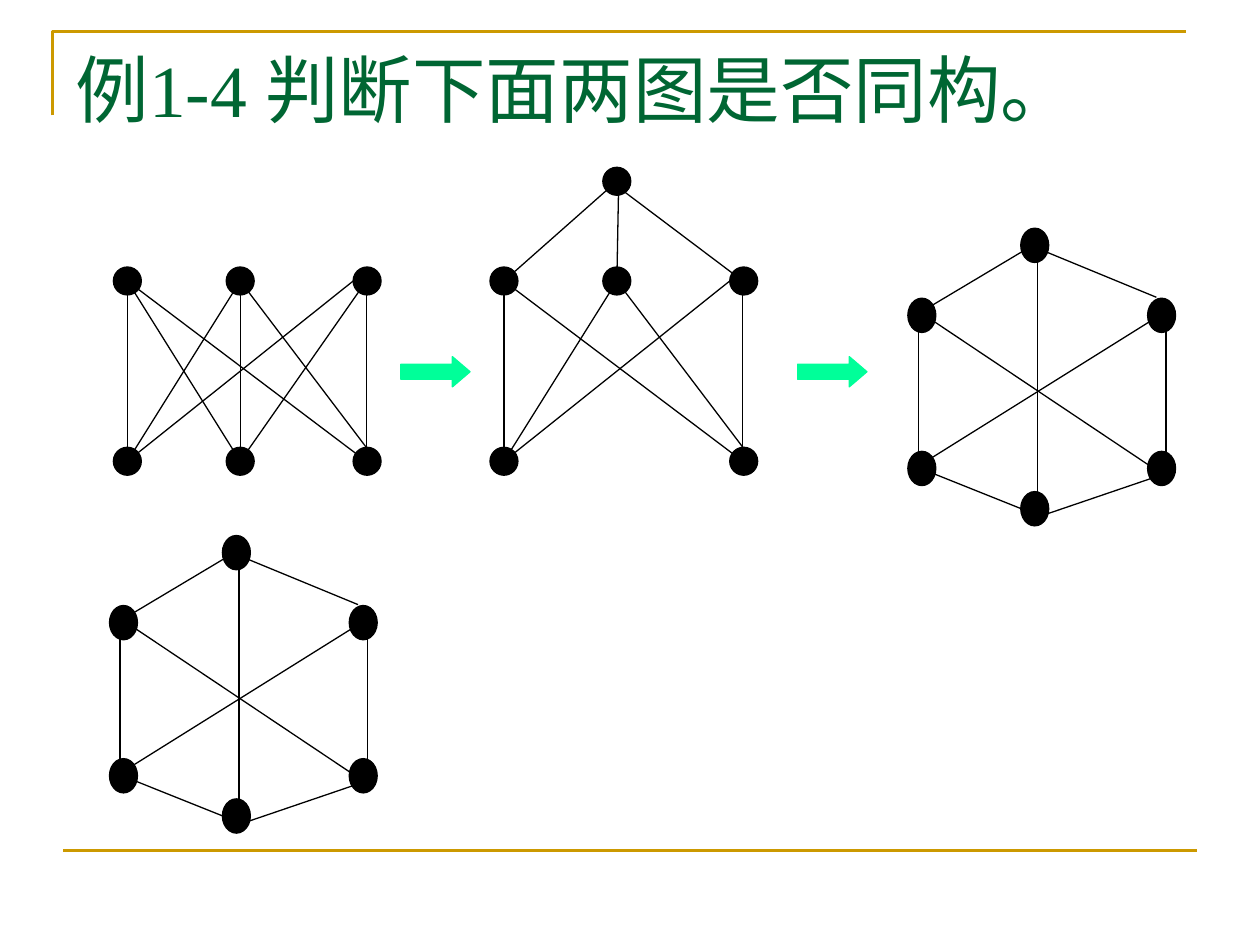
from collections import namedtuple

from lxml.etree import SubElement
from pptx import Presentation
from pptx.dml.color import RGBColor
from pptx.enum.shapes import MSO_CONNECTOR as Connector, MSO_SHAPE as Shape
from pptx.enum.text import MSO_ANCHOR as Anchor, MSO_AUTO_SIZE as AutoSize, PP_ALIGN as Align
from pptx.oxml.ns import qn
from pptx.util import Pt

BLACK = RGBColor(0x00, 0x00, 0x00)
GOLD = RGBColor(0xCC, 0x99, 0x00)
GREEN = RGBColor(0x00, 0x66, 0x33)
MINT = RGBColor(0x00, 0xFF, 0x99)

Box = namedtuple("Box", "left top width height")

ROW_NODES = [(0, 0), (64.5, 0), (137, 0), (0, 103), (137, 103)]
ROW_EDGES = [
    ((8, 8), (144.5, 111)), ((8, 8), (8, 111)), ((72.5, 8), (8, 111)),
    ((137, 8), (8, 111)), ((72.5, 8), (144.5, 103)), ((144.5, 8), (144.5, 111)),
]
LOW_NODE = (64.5, 103)
LOW_EDGES = [((x, 8), (72.5, 111)) for x in (8, 72.5, 144.5)]
HIGH_NODE = (64.5, -57)
HIGH_EDGES = [((8, 8), (68.5, -45.5)), ((72.5, 8), (73.5, -45.5)), ((144.5, 8), (73.5, -45.5))]
HEXAGON_NODES = [(0, 40), (64.5, 0), (137, 40), (0, 127.5), (64.5, 150.5), (137, 127.5)]
HEXAGON_EDGES = [
    ((11.5, 51), (147.5, 142)), ((6, 51), (6, 136)), ((11.5, 45.5), (68.5, 11.5)),
    ((74, 164), (11.5, 139)), ((142, 39.5), (74, 11.5)), ((74, 11.5), (74, 158.5)),
    ((142, 51), (6, 136)), ((142, 142), (73, 165.5)), ((147.5, 57), (147.5, 136)),
]


def add_line(shapes, start, end, color, weight):
    """Draw a straight line between two points."""
    line = shapes.add_connector(Connector.STRAIGHT, *map(Pt, (*start, *end)))
    line.line.color.rgb = color
    line.line.width = Pt(weight)
    SubElement(line._element.spPr, qn("a:effectLst"))


def add_solid(shapes, kind, box, color):
    """Draw a preset shape with fill and outline of one colour."""
    solid = shapes.add_shape(kind, *map(Pt, box))
    solid.shadow.inherit = False
    solid.fill.solid()
    solid.fill.fore_color.rgb = color
    solid.line.color.rgb = color
    solid.line.width = Pt(0.75)
    return solid


def add_graph(page, left, top, nodes, edges, node_height):
    """Group the nodes and edges of one graph at the given corner."""
    shapes = page.shapes.add_group_shape().shapes
    for x, y in nodes:
        add_solid(shapes, Shape.OVAL, Box(left + x, top + y, 16, node_height), BLACK)
    for edge in edges:
        start, end = [(left + x, top + y) for x, y in edge]
        add_line(shapes, start, end, BLACK, 0.75)


def add_arrow(page, box):
    """Draw the arrow that leads from one graph to the next."""
    arrow = add_solid(page.shapes, Shape.RIGHT_ARROW, box, MINT)
    arrow.adjustments[0] = 0.5
    arrow.adjustments[1] = 0.585


def add_frame(page, box):
    """Draw the corner rule above the title and the rule at the foot."""
    builder = page.shapes.build_freeform(Pt(box.left), Pt(box.top + 48))
    right = box.left + box.width
    corners = [(box.left, box.top), (right, box.top)]
    builder.add_line_segments([(Pt(x), Pt(y)) for x, y in corners], close=False)
    corner = builder.convert_to_shape()
    corner.shadow.inherit = False
    corner.fill.background()
    corner.line.color.rgb = GOLD
    corner.line.width = Pt(1.5)
    foot = box.top + box.height
    add_line(page.shapes, (box.left + 6, foot), (right + 6, foot), GOLD, 1.5)


def add_title(page, box):
    """Fill and place the title."""
    title = page.shapes.title
    title.left, title.top, title.width, title.height = map(Pt, box)
    frame = title.text_frame
    frame.auto_size = AutoSize.NONE
    frame.vertical_anchor = Anchor.TOP
    para = frame.paragraphs[0]
    para.alignment = Align.LEFT
    span = para.add_run()
    span.text = "例1-4 判断下面两图是否同构。"
    span.font.name = "Times New Roman"
    span.font.size = Pt(42)
    span.font.color.rgb = GREEN


def main():
    """Build the slide and save it."""
    deck = Presentation()
    deck.slide_width, deck.slide_height = Pt(720), Pt(540)
    page = deck.slides.add_slide(deck.slide_layouts[5])
    add_frame(page, Box(30, 18, 648, 468))
    add_title(page, Box(36, 21.6, 648, 90))
    add_graph(page, 64.8, 152.6, ROW_NODES + [LOW_NODE], ROW_EDGES + LOW_EDGES, 16)
    add_graph(page, 62.6, 306, HEXAGON_NODES, HEXAGON_EDGES, 19.6)
    add_graph(page, 280, 152.6, ROW_NODES + [HIGH_NODE], ROW_EDGES + HIGH_EDGES, 16)
    for left in (229, 455.8):
        add_arrow(page, Box(left, 203.8, 39.6, 17.3))
    add_graph(page, 518.8, 130.4, HEXAGON_NODES, HEXAGON_EDGES, 19.6)
    deck.save("out.pptx")


if __name__ == "__main__":
    main()
